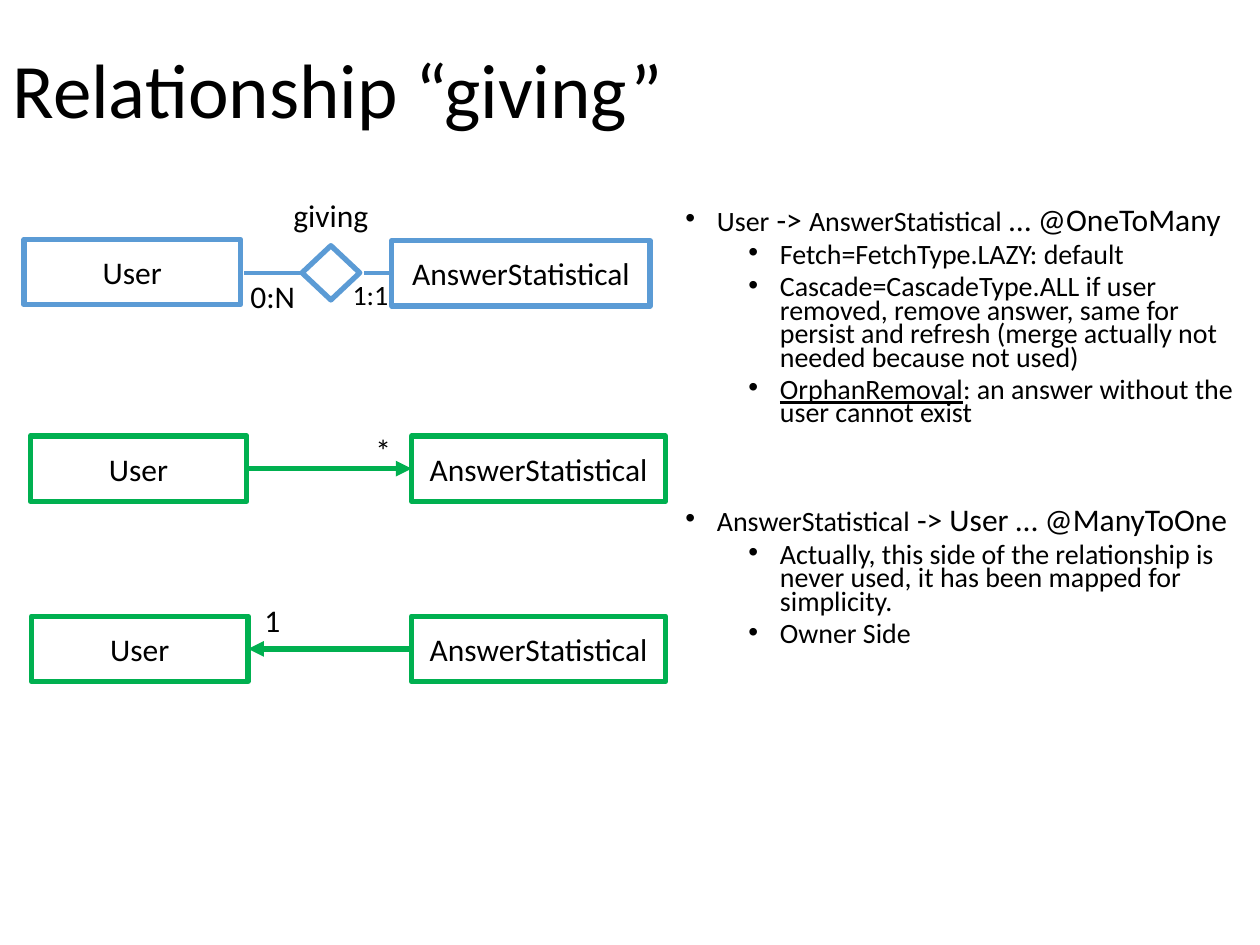
from dataclasses import dataclass

from lxml.etree import SubElement
from pptx import Presentation
from pptx.dml.color import RGBColor
from pptx.enum.shapes import MSO_CONNECTOR as Connector, MSO_SHAPE as Shape
from pptx.enum.text import MSO_ANCHOR as Anchor, MSO_AUTO_SIZE as AutoSize, PP_ALIGN as Align
from pptx.oxml.ns import qn
from pptx.util import Pt


@dataclass(frozen=True)
class Theme:
    font: str = "Calibri"
    text: str = "000000"
    white: str = "FFFFFF"
    blue: str = "5B9BD5"
    green: str = "00B050"
    title: int = 44
    large: int = 18
    small: int = 16
    border: float = 3
    link: float = 2.25


THEME = Theme()


def add_text(para, text, size=THEME.large, underline=None):
    span = para.add_run()
    span.text = text
    font = span.font
    font.name, font.size, font.underline = THEME.font, Pt(size), underline
    font.color.rgb = RGBColor.from_string(THEME.text)


class Painter:
    def __init__(self, page, theme):
        self.page, self.theme = page, theme

    def place(self, shape, left, top, width, height):
        shape.left, shape.top = Pt(left), Pt(top)
        shape.width, shape.height = Pt(width), Pt(height)

    def title(self, text, *area):
        box = self.page.shapes.title
        self.place(box, *area)
        frame = box.text_frame
        frame.auto_size, frame.vertical_anchor = AutoSize.NONE, Anchor.MIDDLE
        para = frame.paragraphs[0]
        para.alignment, para.line_spacing = Align.LEFT, 0.9
        add_text(para, text, size=self.theme.title)

    def bullets(self, items, *area):
        """Each item is (level, space before, [(text, format), ...])."""
        box = self.page.placeholders[1]
        self.place(box, *area)
        frame = box.text_frame
        frame.auto_size = AutoSize.NONE
        for index, (level, before, spans) in enumerate(items):
            para = frame.add_paragraph() if index else frame.paragraphs[0]
            para.level = level
            props = para._p.get_or_add_pPr()
            props.set("marL", str(Pt(18 + 36 * level)))
            props.set("indent", str(Pt(-18)))
            SubElement(props, qn("a:buFont"), typeface="Arial")
            SubElement(props, qn("a:buChar"), char="•")
            para.line_spacing, para.space_before = 0.7, Pt(before)
            for text, style in spans:
                add_text(para, text, **style)

    def outline(self, kind, color, *area, fill=None):
        shape = self.page.shapes.add_shape(kind, *map(Pt, area))
        shape.shadow.inherit = False
        if fill:
            shape.fill.solid()
            shape.fill.fore_color.rgb = RGBColor.from_string(fill)
        else:
            shape.fill.background()
        shape.line.color.rgb = RGBColor.from_string(color)
        shape.line.width = Pt(self.theme.border)
        return shape

    def entity(self, name, color, *area, fill=None):
        frame = self.outline(Shape.RECTANGLE, color, *area, fill=fill).text_frame
        frame.word_wrap, frame.vertical_anchor = True, Anchor.MIDDLE
        para = frame.paragraphs[0]
        para.alignment = Align.CENTER
        add_text(para, name)

    def line(self, color, width, start, end, y, arrow=False):
        line = self.page.shapes.add_connector(Connector.STRAIGHT, Pt(start), Pt(y), Pt(end), Pt(y))
        line.line.color.rgb = RGBColor.from_string(color)
        line.line.width = Pt(width)
        if arrow:
            SubElement(line.line._get_or_add_ln(), qn("a:tailEnd"), type="triangle")
        SubElement(line._element.spPr, qn("a:effectLst"))

    def label(self, text, *area, size=THEME.large):
        frame = self.page.shapes.add_textbox(*map(Pt, area)).text_frame
        frame.word_wrap = False
        add_text(frame.paragraphs[0], text, size=size)


SMALL, LARGE = {"size": THEME.small}, {"size": THEME.large}
NOTES = [
    (0, 0, [("User", SMALL), (" -> ", LARGE), ("AnswerStatistical", SMALL),
            (" … @OneToMany", LARGE)]),
    (1, 5, [("Fetch=FetchType.LAZY: default", SMALL)]),
    (1, 5, [("Cascade=CascadeType.ALL if user removed, remove answer, same for persist "
             "and refresh (merge actually not needed because not used)", SMALL)]),
    (1, 5, [("OrphanRemoval", {**SMALL, "underline": True}),
            (": an answer without the user cannot exist", SMALL)]),
    (0, 47.4, [("AnswerStatistical", SMALL), (" -> User … @ManyToOne", LARGE)]),
    (1, 5, [("Actually, this side of the relationship is never used, "
             "it has been mapped for simplicity.", SMALL)]),
    (1, 5, [("Owner Side", SMALL)]),
]
USER, ANSWER = "User", "AnswerStatistical"
USER_WIDTH, ENTITY_HEIGHT = 123.8, 37.4


def main():
    deck = Presentation()
    deck.slide_width, deck.slide_height = Pt(720), Pt(540)
    page = deck.slides.add_slide(deck.slide_layouts[1])
    painter = Painter(page, THEME)

    painter.title("Relationship “giving”", 0, 1.4, 621.4, 104.4)
    painter.bullets(NOTES, 384.5, 116.6, 335.5, 422.6)

    # Entity-relationship diagram
    blue, white = THEME.blue, THEME.white
    painter.entity(ANSWER, blue, 223.9, 137.5, 147.6, ENTITY_HEIGHT, fill=white)
    painter.entity(USER, blue, 13.7, 136.8, USER_WIDTH, ENTITY_HEIGHT, fill=white)
    painter.outline(Shape.DIAMOND, blue, 172.6, 140.4, 33, 31, fill=white)
    for start, end in ((223.9, 208), (172.8, 139.7)):
        painter.line(blue, THEME.link, start, end, 156)
    painter.label("1:1", 194.4, 154.8, 35.3, 26.6, size=THEME.small)
    painter.label("0:N", 136, 154.8, 40.3, 28.8)
    painter.label("giving", 160.6, 108.7, 57.6, 28.8)

    # One directed association per row
    green, answer_left = THEME.green, 235.2
    for user_left, top, forward in ((17.3, 249.1, True), (18, 352.1, False)):
        painter.entity(ANSWER, green, answer_left, top, 145.2, ENTITY_HEIGHT)
        painter.entity(USER, green, user_left, top, USER_WIDTH, ENTITY_HEIGHT)
        ends = (user_left + USER_WIDTH, answer_left)
        start, end = ends if forward else ends[::-1]
        painter.line(green, THEME.border, start, end, top + ENTITY_HEIGHT / 2, arrow=True)
    painter.label("*", 207.4, 242.6, 23.8, 28.8)
    painter.label("1", 144, 339.8, 23.8, 28.8)

    deck.save("out.pptx")


if __name__ == "__main__":
    main()
